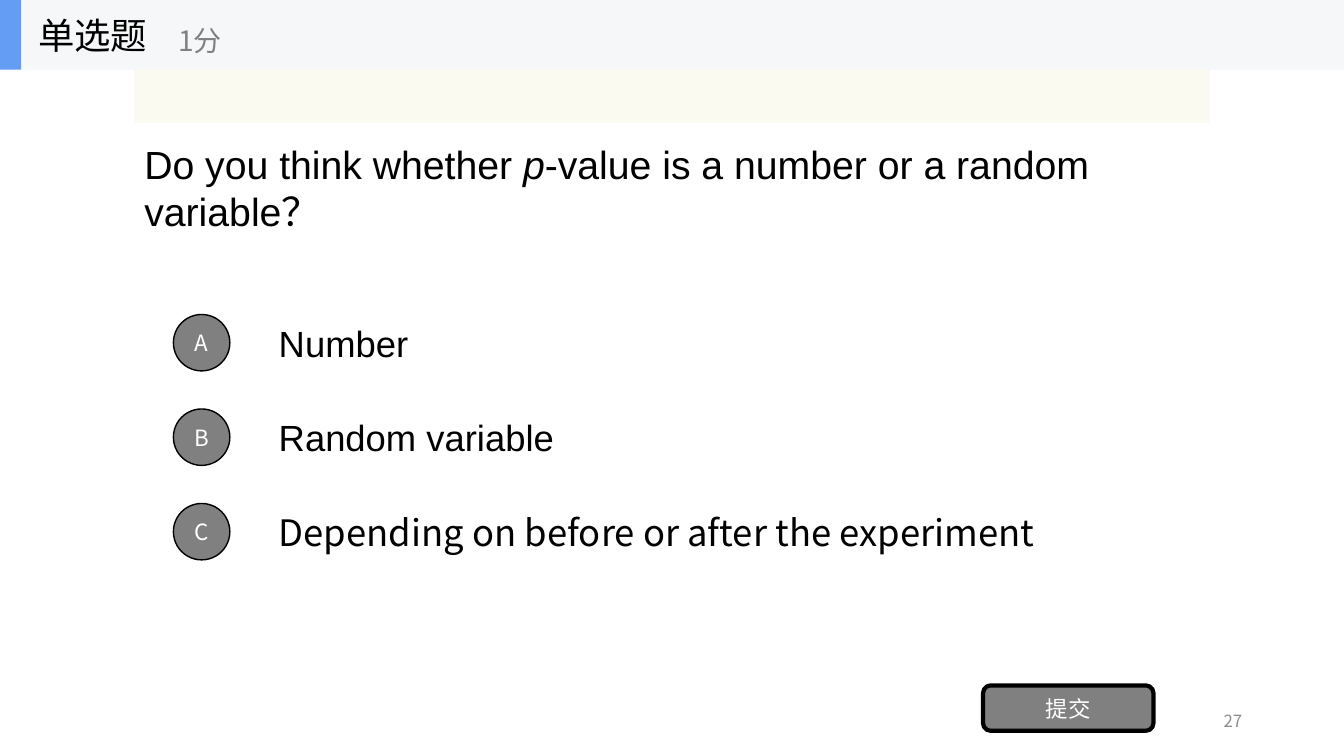
from lxml.etree import SubElement
from pptx import Presentation
from pptx.dml.color import RGBColor
from pptx.enum.shapes import MSO_SHAPE as Shape
from pptx.enum.text import MSO_ANCHOR as Anchor, PP_ALIGN as Align
from pptx.oxml.ns import qn
from pptx.util import Inches, Pt

# Content
HEADING, POINTS = "单选题", "1分"
QUESTION = [("Do you think whether ", False), ("p", True),
            ("-value is a number or a random variable？", False)]
LATIN, CJK = "Arial", "Noto Sans CJK SC"
OPTIONS = [("A", "Number", LATIN), ("B", "Random variable", LATIN),
           ("C", "Depending on before or after the experiment", CJK)]
SUBMIT, PAGE = "提交", "27"

# Colours
BLACK, WHITE = RGBColor(0, 0, 0), RGBColor(255, 255, 255)
GREY, PAGE_GREY = RGBColor(0x80, 0x80, 0x80), RGBColor(0x8C, 0x8C, 0x8C)
HEADER, ACCENT = RGBColor(0xF6, 0xF7, 0xF8), RGBColor(0x63, 0x9E, 0xF4)
CREAM = RGBColor(0xFB, 0xFA, 0xEF)

# Grid: the question column is the slide without a tenth on each side
WIDTH, HEIGHT = 13.33, 7.5
MARGIN = WIDTH / 10
COLUMN = WIDTH - 2 * MARGIN
BAR = 0.69
ROW_TOP, ROW_PITCH, ROW_HEIGHT = 3.05, HEIGHT / 8, 0.7
BADGE, BADGE_LEFT, ANSWER_LEFT = 0.56, 1.72, WIDTH / 5

prs = Presentation()
prs.slide_width, prs.slide_height = Inches(WIDTH), Inches(HEIGHT)
slide = prs.slides.add_slide(prs.slide_layouts[6])


def write(holder, pieces, size, color=BLACK, face=CJK, align=Align.LEFT):
    frame = holder.text_frame
    frame.word_wrap = True
    frame.vertical_anchor = Anchor.MIDDLE
    line = frame.paragraphs[0]
    line.alignment = align
    for words, italic in pieces:
        run = line.add_run()
        run.text = words
        style = {"name": face, "size": Pt(size), "italic": italic}
        for key, value in style.items():
            setattr(run.font, key, value)
        run.font.color.rgb = color
        SubElement(run.font._element, qn("a:ea")).set("typeface", CJK)


def add_label(box, pieces, size, **style):
    write(slide.shapes.add_textbox(*map(Inches, box)), pieces, size, **style)


def add_block(kind, box, fill, outline=0):
    block = slide.shapes.add_shape(kind, *map(Inches, box))
    block.shadow.inherit = False
    block.fill.solid()
    block.fill.fore_color.rgb = fill
    if outline:
        block.line.color.rgb = BLACK
        block.line.width = Pt(outline)
    else:
        block.line.fill.background()
    return block


def add_button(kind, box, caption, outline):
    button = add_block(kind, box, GREY, outline)
    frame = button.text_frame
    for side in ("left", "right", "top", "bottom"):
        setattr(frame, f"margin_{side}", 0)
    write(button, [(caption, False)], 16, WHITE, align=Align.CENTER)


# Question
add_label((MARGIN, BAR, COLUMN, 2.34), QUESTION, 28, face=LATIN)

# Answers with their letter badges
for row, (letter, answer, face) in enumerate(OPTIONS):
    top = ROW_TOP + row * ROW_PITCH
    add_label((ANSWER_LEFT, top, WIDTH * 0.7, ROW_HEIGHT),
              [(answer, False)], 26, face=face)
    add_button(Shape.OVAL, (BADGE_LEFT, top + (ROW_HEIGHT - BADGE) / 2, BADGE, BADGE),
               letter, 1)

# Submit button and page number
add_button(Shape.ROUNDED_RECTANGLE, (9.75, 6.8, 1.69, 0.45), SUBMIT, 3)
add_label((9.42, 6.95, 3, 0.4), [(PAGE, False)], 12, color=PAGE_GREY, align=Align.RIGHT)

# Cream strip, slightly transparent
strip = add_block(Shape.RECTANGLE, (MARGIN, BAR, COLUMN, 0.53), CREAM)
tint = strip.fill._xPr.find(qn("a:solidFill"))[0]
SubElement(tint, qn("a:alpha")).set("val", "90000")

# Header bar
add_block(Shape.RECTANGLE, (0, 0, WIDTH, BAR), HEADER)
add_block(Shape.RECTANGLE, (0, 0, 0.21, BAR), ACCENT)
add_label((0.28, 0, 2.08, BAR), [(HEADING, False)], 26)
add_label((1.67, 0.12, 2.5, 0.56), [(POINTS, False)], 20, color=GREY)

prs.save("out.pptx")
